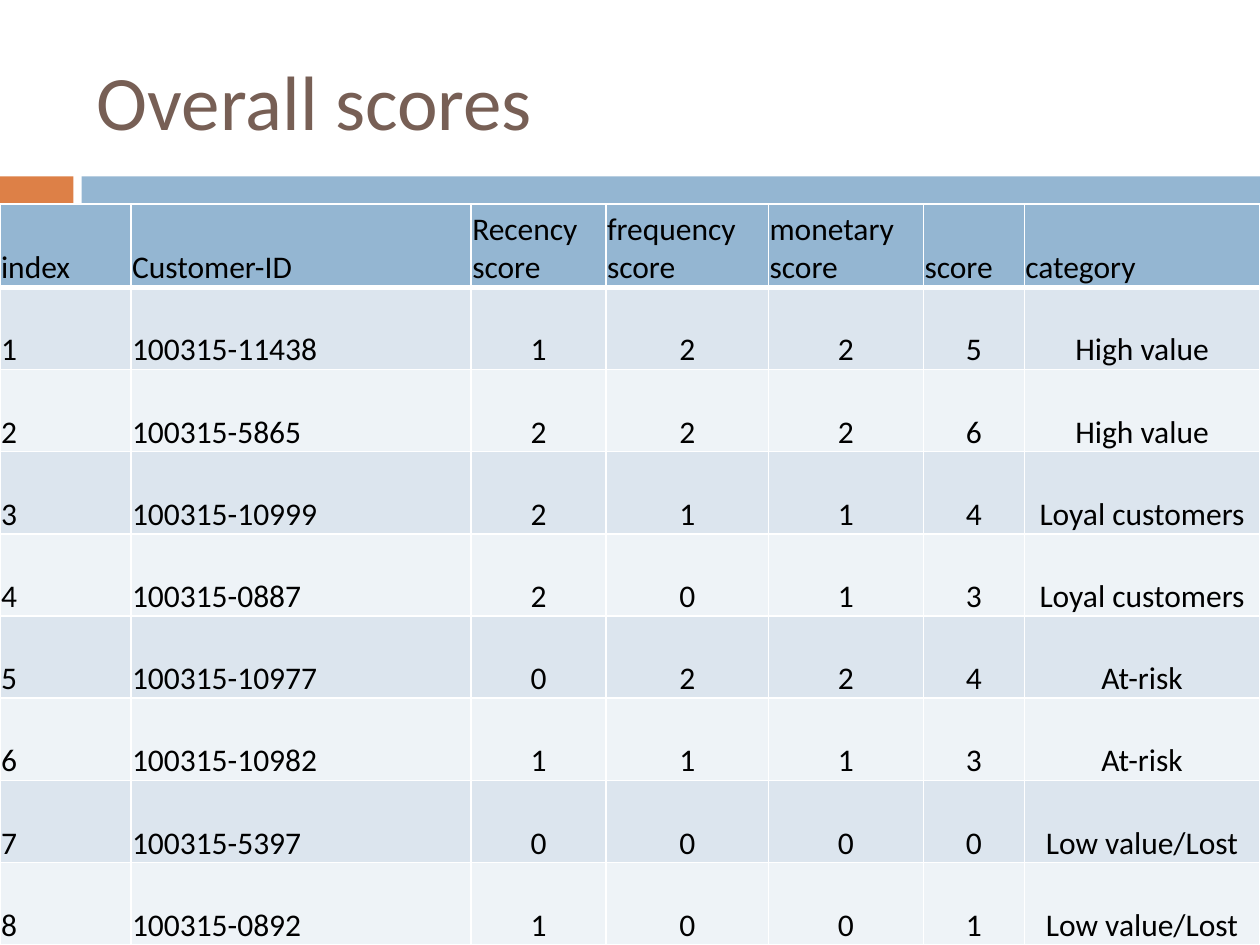
from dataclasses import astuple, dataclass

from lxml import etree
from pptx import Presentation
from pptx.dml.color import RGBColor
from pptx.enum.shapes import MSO_SHAPE
from pptx.enum.text import MSO_ANCHOR, PP_ALIGN
from pptx.oxml.ns import qn
from pptx.slide import Slide
from pptx.table import Table, _Cell
from pptx.util import Pt

RECTANGLE = MSO_SHAPE.RECTANGLE
MIDDLE = MSO_ANCHOR.MIDDLE
BOTTOM = MSO_ANCHOR.BOTTOM
LEFT = PP_ALIGN.LEFT
CENTER = PP_ALIGN.CENTER

FONT = "Calibri"
WHITE = "FFFFFF"
BLACK = "000000"
BROWN = "775F55"
ORANGE = "DD8047"
BLUE = "94B6D2"
BAND_FILLS = ("DCE5EE", "EEF3F7")

SLIDE_WIDTH = 720
SLIDE_HEIGHT = 540
TABLE_TOP = 116.64
HEADER_HEIGHT = 47.5
ROW_HEIGHT = 46.98
COLUMN_WIDTHS = (74.88, 194.4, 77.04, 92.88, 88.56, 57.6, 134.64)
CELL_INSET = 0.6
THIN_BORDER = 1
HEADER_RULE = 3


@dataclass(frozen=True)
class Bar:
    left: float
    width: float
    fill: str


@dataclass(frozen=True)
class CustomerScore:
    index: int
    customer_id: str
    recency: int
    frequency: int
    monetary: int
    score: int
    category: str


BARS = (Bar(0, 42, ORANGE), Bar(46.6, 673.4, BLUE))
HEADERS = (
    "index",
    "Customer-ID",
    "Recency score",
    "frequency score",
    "monetary score",
    "score",
    "category",
)
CUSTOMER_SCORES = (
    CustomerScore(1, "100315-11438", 1, 2, 2, 5, "High value"),
    CustomerScore(2, "100315-5865", 2, 2, 2, 6, "High value"),
    CustomerScore(3, "100315-10999", 2, 1, 1, 4, "Loyal customers"),
    CustomerScore(4, "100315-0887", 2, 0, 1, 3, "Loyal customers"),
    CustomerScore(5, "100315-10977", 0, 2, 2, 4, "At-risk"),
    CustomerScore(6, "100315-10982", 1, 1, 1, 3, "At-risk"),
    CustomerScore(7, "100315-5397", 0, 0, 0, 0, "Low value/Lost"),
    CustomerScore(8, "100315-0892", 1, 0, 0, 1, "Low value/Lost"),
)


def color(value: str) -> RGBColor:
    return RGBColor.from_string(value)


def add_bar(slide: Slide, bar: Bar) -> None:
    shape = slide.shapes.add_shape(
        RECTANGLE, Pt(bar.left), Pt(100.8), Pt(bar.width), Pt(18)
    )
    shape.shadow.inherit = False
    shape.fill.solid()
    shape.fill.fore_color.rgb = color(bar.fill)
    shape.line.fill.background()


def add_title(slide: Slide, text: str) -> None:
    shape = slide.shapes.add_textbox(Pt(48.24), Pt(18), Pt(642.24), Pt(77.76))
    frame = shape.text_frame
    frame.word_wrap = True
    frame.vertical_anchor = MIDDLE
    paragraph = frame.paragraphs[0]
    paragraph.text = text
    paragraph.font.name = FONT
    paragraph.font.size = Pt(44)
    paragraph.font.color.rgb = color(BROWN)


def set_borders(cell: _Cell, top: float, bottom: float) -> None:
    properties = cell._tc.get_or_add_tcPr()
    widths = {"lnL": THIN_BORDER, "lnR": THIN_BORDER, "lnT": top, "lnB": bottom}
    for position, (side, width) in enumerate(widths.items()):
        line = etree.Element(qn(f"a:{side}"), w=str(Pt(width)))
        fill = etree.SubElement(line, qn("a:solidFill"))
        etree.SubElement(fill, qn("a:srgbClr"), val=WHITE)
        properties.insert(position, line)


def fill_row(table: Table, row: int, values: tuple) -> None:
    is_header = row == 0
    fill = BLUE if is_header else BAND_FILLS[(row - 1) % 2]
    top = HEADER_RULE if row == 1 else THIN_BORDER
    bottom = HEADER_RULE if is_header else THIN_BORDER
    for column, value in enumerate(values):
        cell = table.cell(row, column)
        cell.fill.solid()
        cell.fill.fore_color.rgb = color(fill)
        cell.vertical_anchor = BOTTOM
        cell.margin_left = cell.margin_right = cell.margin_top = Pt(CELL_INSET)
        cell.margin_bottom = 0
        paragraph = cell.text_frame.paragraphs[0]
        paragraph.text = str(value)
        paragraph.alignment = LEFT if is_header or column < 2 else CENTER
        paragraph.font.name = FONT
        paragraph.font.size = Pt(18)
        paragraph.font.bold = False
        paragraph.font.color.rgb = color(BLACK)
        set_borders(cell, top, bottom)


def add_score_table(slide: Slide) -> None:
    rows = (HEADERS, *map(astuple, CUSTOMER_SCORES))
    height = HEADER_HEIGHT + ROW_HEIGHT * len(CUSTOMER_SCORES)
    table = slide.shapes.add_table(
        len(rows), len(HEADERS), 0, Pt(TABLE_TOP), Pt(SLIDE_WIDTH), Pt(height)
    ).table
    for column, width in zip(table.columns, COLUMN_WIDTHS):
        column.width = Pt(width)
    for row, values in enumerate(rows):
        table.rows[row].height = Pt(ROW_HEIGHT if row else HEADER_HEIGHT)
        fill_row(table, row, values)


def main() -> None:
    presentation = Presentation()
    presentation.slide_width = Pt(SLIDE_WIDTH)
    presentation.slide_height = Pt(SLIDE_HEIGHT)
    slide = presentation.slides.add_slide(presentation.slide_layouts[6])
    for bar in BARS:
        add_bar(slide, bar)
    add_title(slide, "Overall scores")
    add_score_table(slide)
    presentation.save("out.pptx")


if __name__ == "__main__":
    main()
